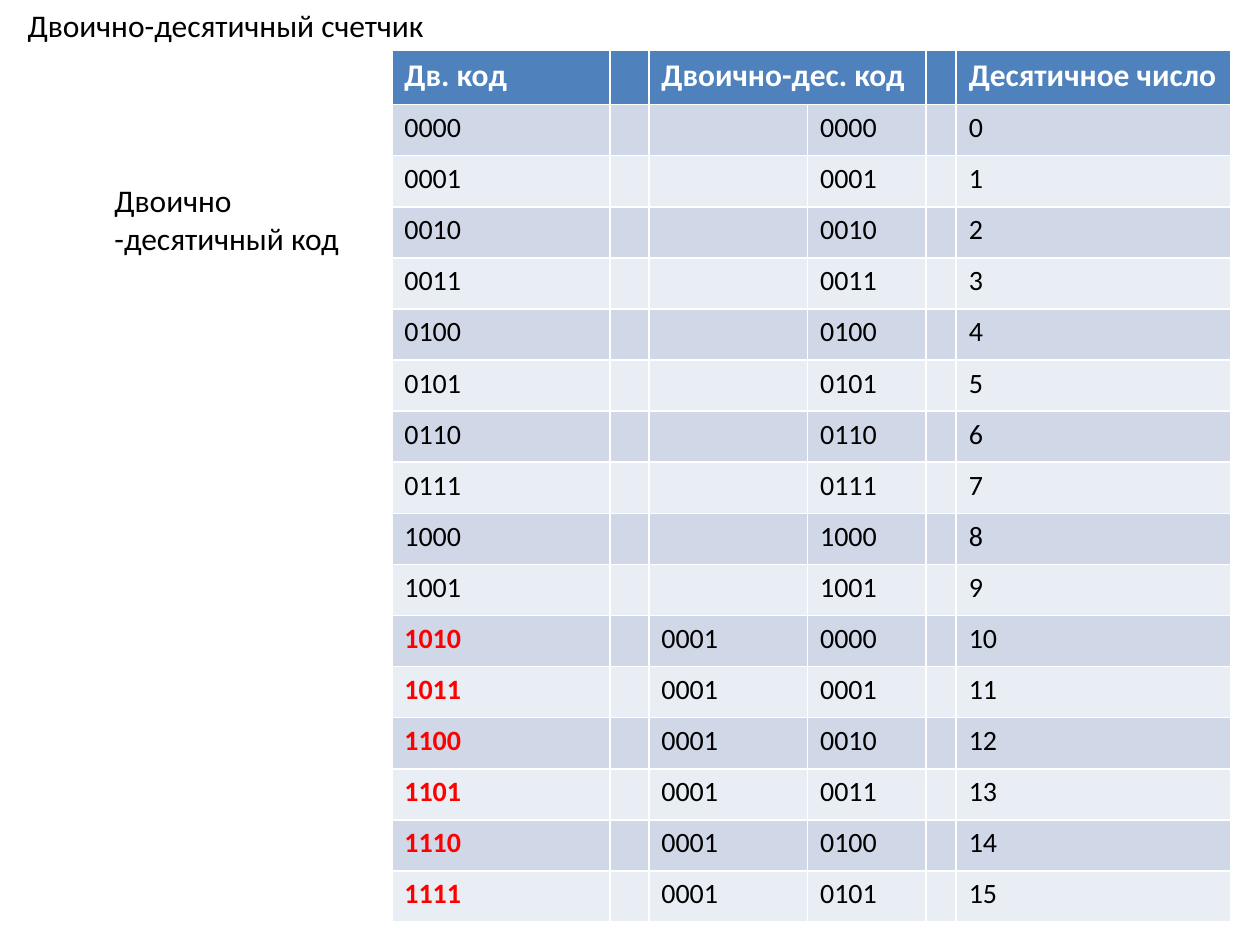
import pptx
import pptx.util
import pptx.dml.color
import pptx.enum.text

hues = {"head": "4F81BD", "odd": "D0D8E8", "even": "E9EDF4",
        "text": "000000", "light": "FFFFFF", "alert": "FF0000"}

deck = pptx.Presentation()
deck.slide_width = pptx.util.Inches(10)
deck.slide_height = pptx.util.Inches(7.5)
wide, high = deck.slide_width, deck.slide_height
slide = deck.slides.add_slide(deck.slide_layouts[6])


def tone(name):
    return pptx.dml.color.RGBColor.from_string(hues[name])


def style(frame, size, hue, bold=False):
    for para in frame.paragraphs:
        for run in para.runs:
            run.font.name = "Calibri"
            run.font.size = pptx.util.Pt(size)
            run.font.bold = bold
            run.font.color.rgb = tone(hue)


labels = [
    ("Двоично-десятичный счетчик", 0.012, 0, 0.339, 0.4 / 7.5),
    ("Двоично\n-десятичный код", 0.081, 1.39 / 7.5, 0.2, 0.71 / 7.5),
]
for text, left, top, width, height in labels:
    box = slide.shapes.add_textbox(int(left * wide), int(top * high),
                                   int(width * wide), int(height * high))
    frame = box.text_frame
    frame.word_wrap = False
    frame.auto_size = pptx.enum.text.MSO_AUTO_SIZE.SHAPE_TO_FIT_TEXT
    frame.text = text
    style(frame, 18, "text")

rows = [["Дв. код", "", "Двоично-дес. код", "", "", "Десятичное число"]]
for num in range(16):
    tens, ones = divmod(num, 10)
    rows.append([f"{num:04b}", "", f"{tens:04b}" if tens else "",
                 f"{ones:04b}", "", str(num)])

spans = [0.173, 0.031, 0.126, 0.094, 0.024, 0.218]
head = 0.43 / 7.5
step = (6.92 / 7.5 - head) / 16
grid = slide.shapes.add_table(
    len(rows), len(spans), int(0.311 * wide), int(0.4 / 7.5 * high),
    int(sum(spans) * wide), int((head + 16 * step) * high)).table
for col, span in zip(grid.columns, spans):
    col.width = int(span * wide)
grid.cell(0, 2).merge(grid.cell(0, 3))

for r, row in enumerate(rows):
    grid.rows[r].height = int((step if r else head) * high)
    for c, text in enumerate(row):
        cell = grid.cell(r, c)
        cell.fill.solid()
        cell.fill.fore_color.rgb = tone("head" if r == 0 else "odd" if r % 2 else "even")
        if not text:
            continue
        cell.text_frame.text = text
        if r == 0:
            style(cell.text_frame, 18, "light", True)
        elif c == 0 and r > 10:
            style(cell.text_frame, 16, "alert", True)
        else:
            style(cell.text_frame, 16, "text")

deck.save("out.pptx")
